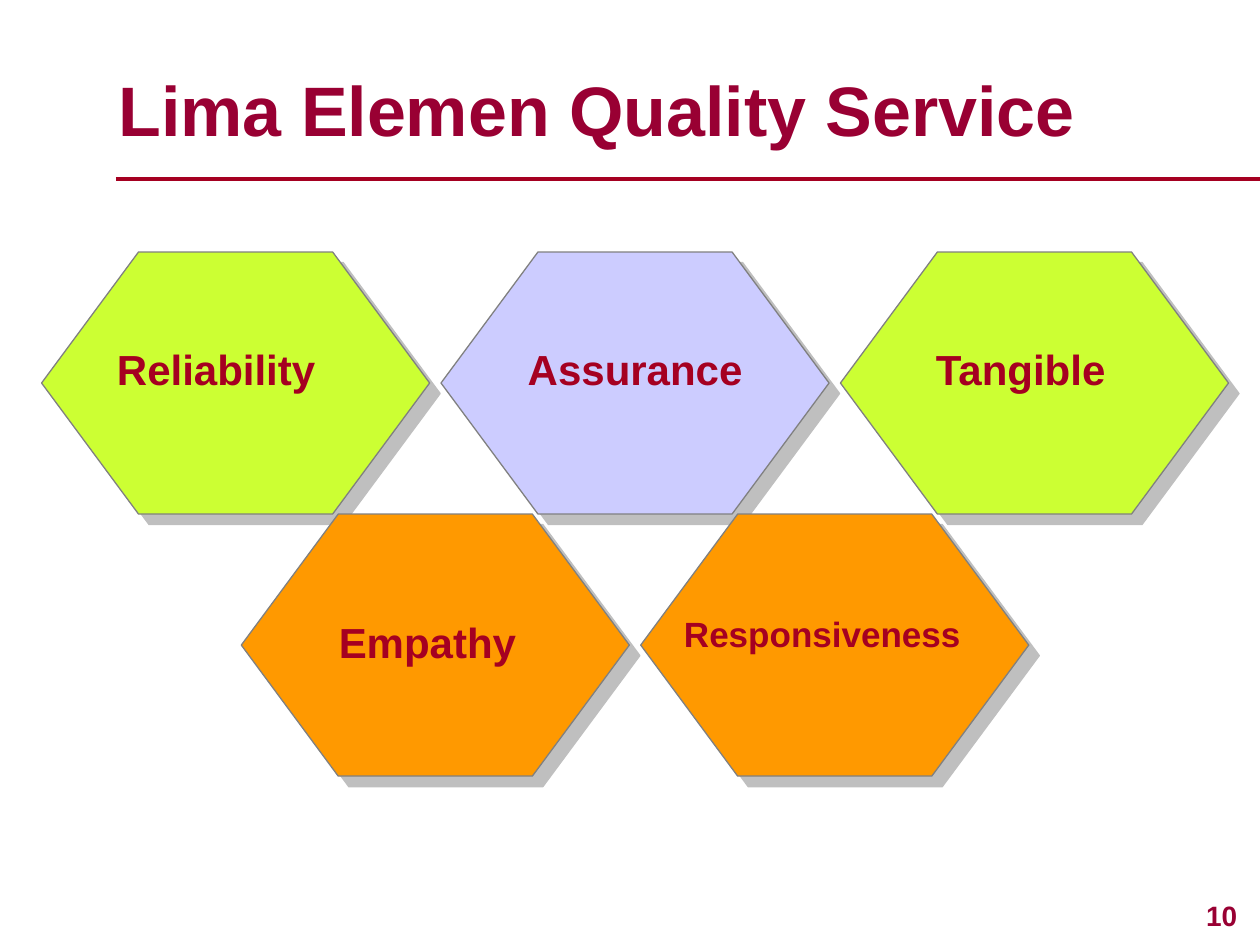
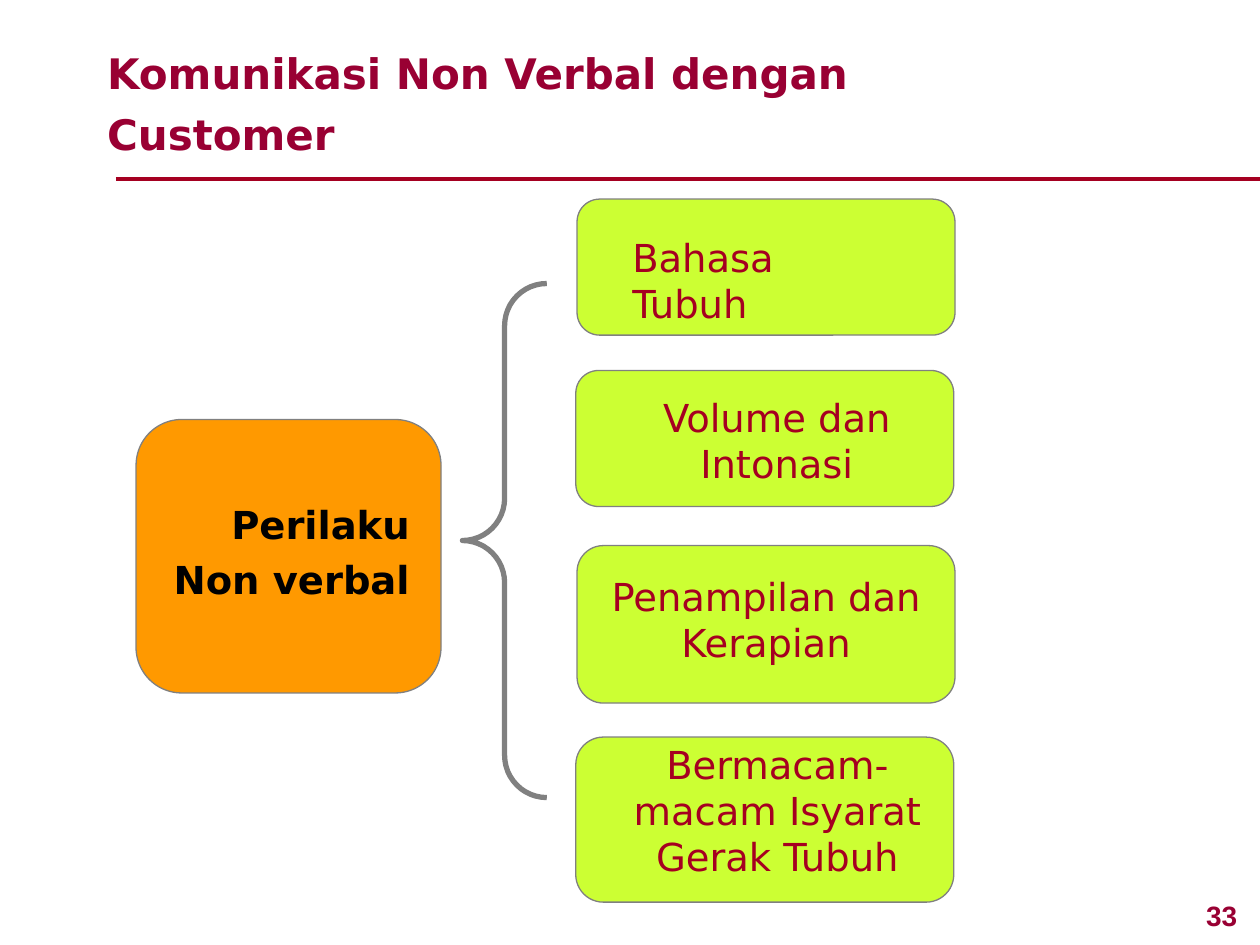
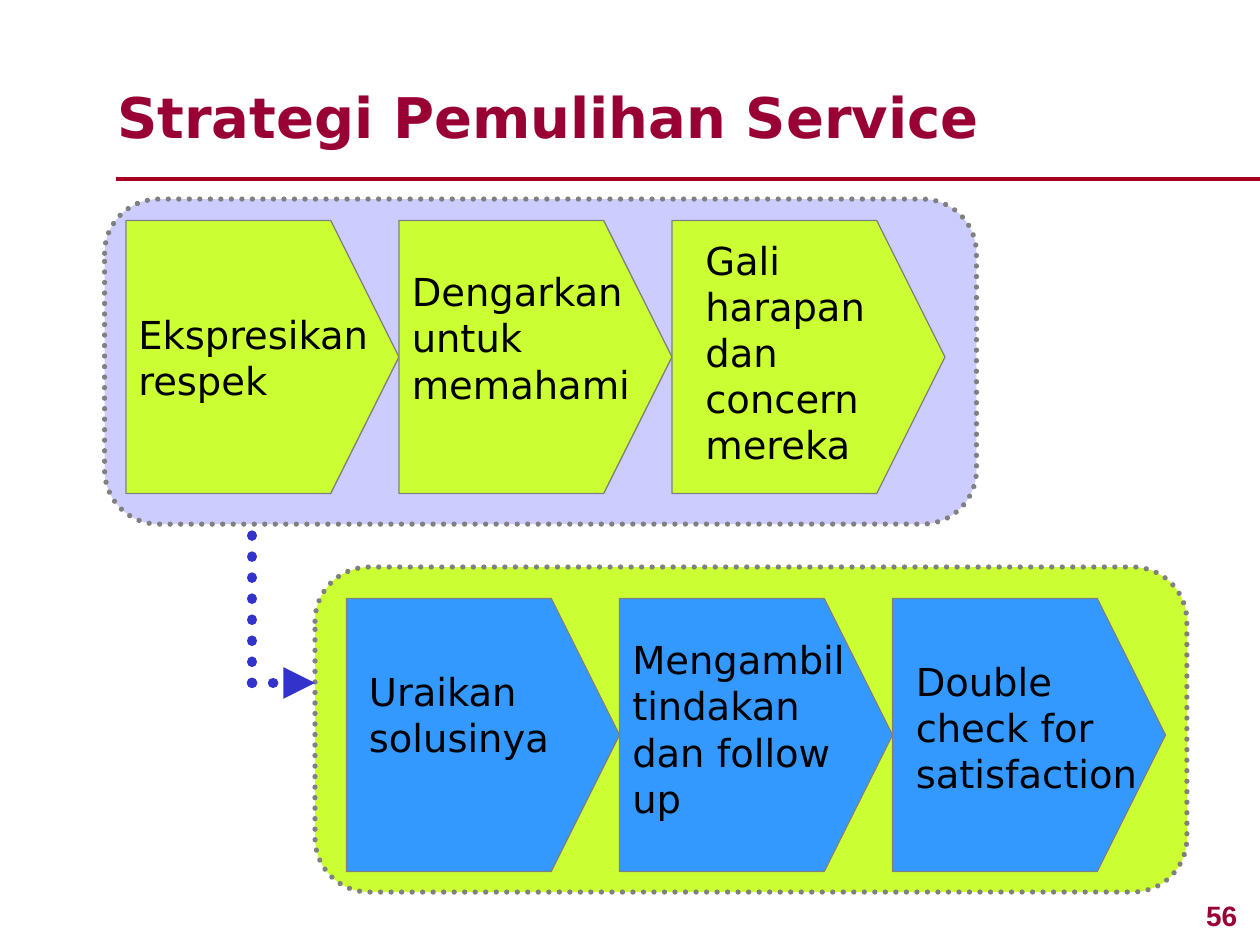
from dataclasses import dataclass

from lxml.etree import SubElement
from pptx import Presentation
from pptx.dml.color import RGBColor
from pptx.enum.dml import MSO_LINE
from pptx.enum.shapes import MSO_CONNECTOR, MSO_SHAPE
from pptx.enum.text import MSO_ANCHOR, MSO_AUTO_SIZE, PP_ALIGN
from pptx.oxml.ns import qn
from pptx.util import Inches, Pt


@dataclass(frozen=True)
class Theme:
    """Colours, fonts and type sizes shared by the slides."""
    title: str = "990033"
    label: str = "A50021"
    ink: str = "000000"
    outline: str = "808080"
    arrow: str = "3333CC"
    lime: str = "CCFF33"
    lilac: str = "CCCCFF"
    orange: str = "FF9900"
    blue: str = "3399FF"
    latin: str = "Arial"
    wide: str = "DejaVu Sans"
    page_size: int = 16
    label_size: int = 24
    small_label_size: int = 20
    body_size: int = 22
    thin: float = 0.75
    rule: float = 2.25
    thick: float = 3
    dotted: float = 6


THEME = Theme()
WIDTH, HEIGHT = 10, 7.5
CORNER = 0.167

TITLES = {
    "elements": ("Lima Elemen Quality Service", "10", (0.84, 0.48, 7.79, 0.77),
                 dict(font=THEME.latin, size=40, wrap=False)),
    "behaviour": ("Komunikasi Non Verbal dengan Customer", "33", (0.75, 0.25, 6.75, 1.06),
                  dict(font=THEME.wide, size=24, spacing=1.2)),
    "recovery": ("Strategi Pemulihan Service", "56", (0.83, 0.5, 8.33, 0.74),
                 dict(font=THEME.wide, size=32, spacing=1.2)),
}

HEXAGON = (3.08, 2.08)
HEXAGON_ORIGIN = (0.33, 2)
HEXAGON_PITCH = 3.17
ELEMENTS = [
    ("Reliability", 0, 0, THEME.lime, THEME.label_size, (0.83, 2.68, 1.77, 0.5)),
    ("Assurance", 1, 0, THEME.lilac, THEME.label_size, (4.09, 2.68, 1.9, 0.5)),
    ("Tangible", 2, 0, THEME.lime, THEME.label_size, (7.33, 2.68, 1.57, 0.5)),
    ("Empathy", 0.5, 1, THEME.orange, THEME.label_size, (2.59, 4.84, 1.61, 0.5)),
    ("Responsiveness", 1.5, 1, THEME.orange, THEME.small_label_size, (5.33, 4.81, 2.39, 0.44)),
]

BEHAVIOUR = ("Perilaku Non verbal", (1.08, 3.33, 2.42, 2.17), (1.08, 3.85, 2.27, 0.98))
BRACE = (3.67, 2.25, 0.67, 4.08)
FORMS = [
    ("Bahasa Tubuh", (4.58, 1.58, 3, 1.08), (4.92, 1.81, 2.25, 0.84), PP_ALIGN.LEFT),
    ("Volume dan Intonasi", (4.57, 2.94, 3, 1.08), (4.75, 3.08, 2.83, 0.84), PP_ALIGN.CENTER),
    ("Penampilan dan Kerapian", (4.58, 4.33, 3, 1.25), (4.75, 4.5, 2.66, 0.84), PP_ALIGN.CENTER),
    ("Bermacam-macam Isyarat Gerak Tubuh", (4.57, 5.85, 3, 1.31), (4.67, 5.83, 3, 1.2),
     PP_ALIGN.CENTER),
]

PANEL = (6.92, 2.58)
STEP = 6.5 / 3
PHASES = [
    ((2.5, 4.5), THEME.lime, (2.75, 4.75), THEME.blue, [
        ("Uraikan solusinya", (2.83, 5.25, 1.75, 0.84)),
        ("Mengambil tindakan dan follow up", (4.92, 5, 2, 1.57)),
        ("Double check for satisfaction", (7.17, 5.17, 2.17, 1.2)),
    ]),
    ((0.83, 1.58), THEME.lilac, (1, 1.75), THEME.lime, [
        ("Ekspresikan respek", (1, 2.42, 2.33, 0.84)),
        ("Dengarkan untuk memahami", (3.17, 2.08, 2, 1.2)),
        ("Gali harapan dan concern mereka", (5.5, 1.83, 1.92, 1.94)),
    ]),
]
ELBOW = (2, 5.42)
ELBOW_ENDS = [((2.5, 5.42), True), ((2, 4.17), False)]


def set_values(target, values):
    """Set each named attribute of the target."""
    for name, value in values.items():
        setattr(target, name, value)


def write(shape, text, size, color=THEME.label, font=THEME.wide, bold=False,
          align=PP_ALIGN.LEFT, spacing=1.0, wrap=True):
    """Fill a text shape with one formatted paragraph."""
    frame = shape.text_frame
    set_values(frame, dict(
        word_wrap=wrap, auto_size=MSO_AUTO_SIZE.NONE, vertical_anchor=MSO_ANCHOR.TOP,
        margin_left=Inches(0.1), margin_right=Inches(0.1),
        margin_top=Inches(0.05), margin_bottom=Inches(0.05)))
    frame.text = text
    paragraph = frame.paragraphs[0]
    set_values(paragraph, dict(alignment=align, line_spacing=spacing))
    run_font = paragraph.runs[0].font
    set_values(run_font, dict(name=font, size=Pt(size), bold=bold))
    run_font.color.rgb = RGBColor.from_string(color)


def add_text(slide, box, text, size, **style):
    """Add a text box."""
    write(slide.shapes.add_textbox(*map(Inches, box)), text, size, **style)


def style_line(line, color, width, dotted=False):
    """Format an outline or a connector line."""
    line.color.rgb = RGBColor.from_string(color)
    line.width = Pt(width)
    if dotted:
        line.dash_style = MSO_LINE.ROUND_DOT
        line._get_or_add_ln().set("cap", "rnd")


def add_figure(slide, kind, box, fill=None, adjust=None, width=THEME.thin, dotted=False):
    """Add a preset shape with a grey outline and no shadow."""
    shape = slide.shapes.add_shape(kind, *map(Inches, box))
    shape.shadow.inherit = False
    if fill:
        shape.fill.solid()
        shape.fill.fore_color.rgb = RGBColor.from_string(fill)
    else:
        shape.fill.background()
    style_line(shape.line, THEME.outline, width, dotted)
    if adjust is not None:
        shape.adjustments[0] = adjust
    return shape


def add_shadow(shape):
    """Give a shape a hard, half-transparent diagonal shadow."""
    effects = shape._element.spPr.find(qn("a:effectLst"))
    shadow = SubElement(effects, qn("a:outerShdw"), dist=str(Pt(8.5)), dir="2700000",
                        algn="ctr", rotWithShape="0")
    color = SubElement(shadow, qn("a:srgbClr"), val=THEME.outline)
    SubElement(color, qn("a:alpha"), val="50000")


def add_line(slide, start, end, color, width, dotted=False, arrow=False):
    """Add a straight connector."""
    line = slide.shapes.add_connector(MSO_CONNECTOR.STRAIGHT, *map(Inches, (*start, *end)))
    style_line(line.line, color, width, dotted)
    if arrow:
        SubElement(line.line._get_or_add_ln(), qn("a:tailEnd"), type="triangle")
    SubElement(line._element.spPr, qn("a:effectLst"))


def start_slide(presentation, key):
    """Add a slide with its title, rule and page number."""
    text, number, box, style = TITLES[key]
    slide = presentation.slides.add_slide(presentation.slide_layouts[5])
    title = slide.shapes.title
    set_values(title, dict(zip(("left", "top", "width", "height"), map(Inches, box))))
    write(title, text, color=THEME.title, bold=True, **style)
    add_line(slide, (0.92, 1.42), (WIDTH, 1.42), THEME.label, THEME.rule)
    add_text(slide, (9.39, 7.08, 0.61, 0.37), number, THEME.page_size, color=THEME.title,
             font=THEME.latin, bold=True, align=PP_ALIGN.CENTER)
    return slide


def build_elements(presentation):
    """Build the honeycomb of service elements."""
    slide = start_slide(presentation, "elements")
    left, top = HEXAGON_ORIGIN
    for text, column, row, fill, size, label_box in ELEMENTS:
        box = (left + column * HEXAGON_PITCH, top + row * HEXAGON[1], *HEXAGON)
        add_shadow(add_figure(slide, MSO_SHAPE.HEXAGON, box, fill, 0.37))
        add_text(slide, label_box, text, size, font=THEME.latin, bold=True, wrap=False)


def build_behaviour(presentation):
    """Build the brace from behaviour to its forms."""
    slide = start_slide(presentation, "behaviour")
    text, box, label_box = BEHAVIOUR
    add_figure(slide, MSO_SHAPE.ROUNDED_RECTANGLE, box, THEME.orange, CORNER)
    add_text(slide, label_box, text, THEME.body_size, color=THEME.ink, bold=True,
             align=PP_ALIGN.RIGHT, spacing=1.2)
    for text, box, label_box, align in FORMS:
        add_figure(slide, MSO_SHAPE.ROUNDED_RECTANGLE, box, THEME.lime, CORNER)
        add_text(slide, label_box, text, THEME.body_size, align=align)
    add_figure(slide, MSO_SHAPE.LEFT_BRACE, BRACE, adjust=0.5, width=THEME.thick)


def build_recovery(presentation):
    """Build the two phases of steps and the arrow between them."""
    slide = start_slide(presentation, "recovery")
    for corner, panel_fill, (left, top), step_fill, steps in PHASES:
        add_figure(slide, MSO_SHAPE.ROUNDED_RECTANGLE, (*corner, *PANEL), panel_fill, CORNER,
                   THEME.thick, dotted=True)
        for column, (text, label_box) in enumerate(steps):
            box = (left + column * STEP, top, STEP, STEP)
            add_figure(slide, MSO_SHAPE.PENTAGON, box, step_fill, 0.25)
            add_text(slide, label_box, text, THEME.body_size, color=THEME.ink)
    for end, arrow in ELBOW_ENDS:
        add_line(slide, ELBOW, end, THEME.arrow, THEME.dotted, dotted=True, arrow=arrow)


def main():
    """Build and save the presentation."""
    presentation = Presentation()
    set_values(presentation, dict(slide_width=Inches(WIDTH), slide_height=Inches(HEIGHT)))
    for build in (build_elements, build_behaviour, build_recovery):
        build(presentation)
    presentation.save("out.pptx")


if __name__ == "__main__":
    main()
